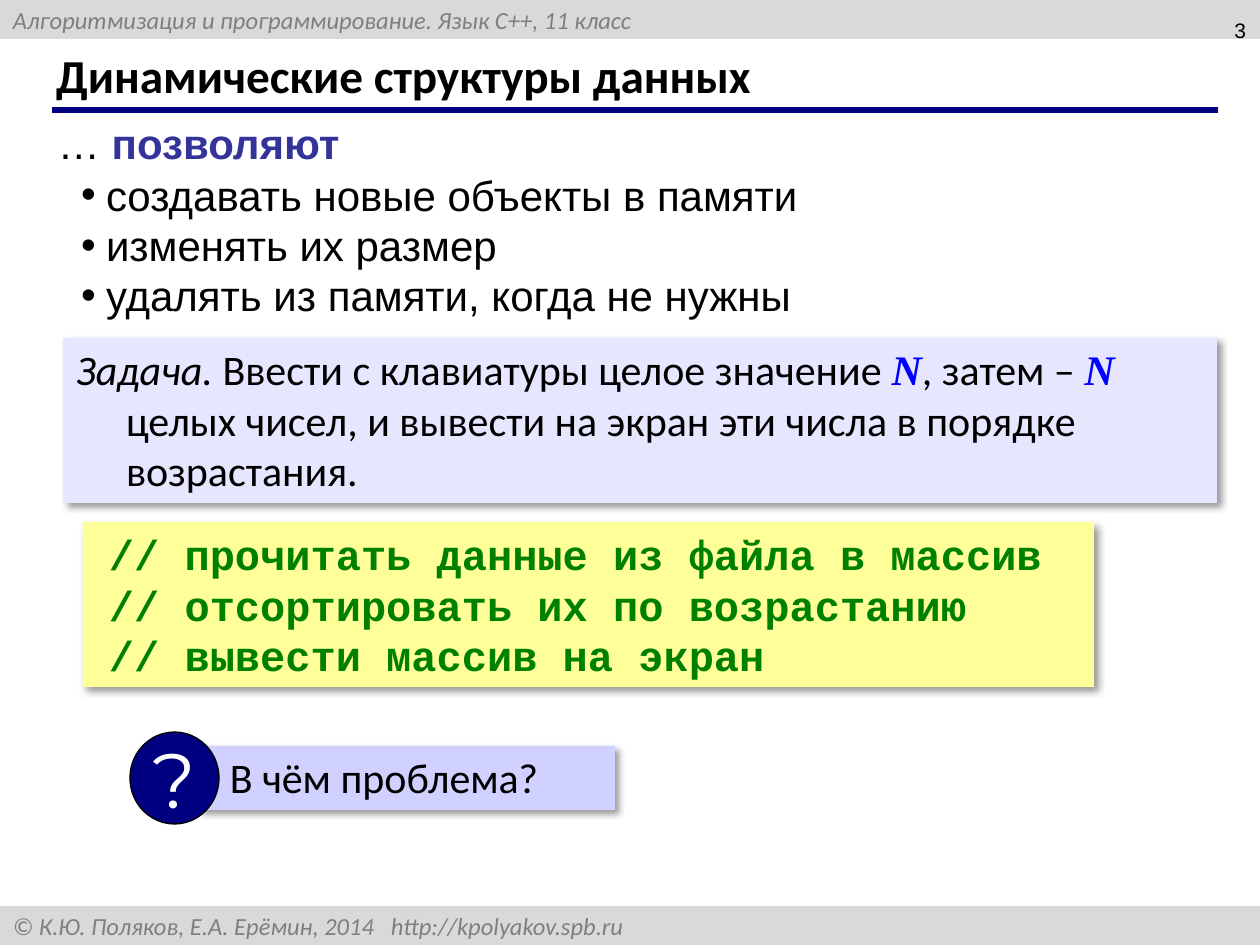
"""Build the slide on dynamic data structures."""
from dataclasses import dataclass

from lxml import etree
from pptx import Presentation
from pptx.dml.color import RGBColor
from pptx.enum.shapes import MSO_CONNECTOR, MSO_SHAPE
from pptx.enum.text import MSO_ANCHOR, MSO_AUTO_SIZE, PP_ALIGN
from pptx.oxml import parse_xml
from pptx.oxml.ns import nsdecls, qn
from pptx.util import Emu, Pt

LEFT, RIGHT, CENTER, JUSTIFY = PP_ALIGN.LEFT, PP_ALIGN.RIGHT, PP_ALIGN.CENTER, PP_ALIGN.JUSTIFY
TOP, MIDDLE = MSO_ANCHOR.TOP, MSO_ANCHOR.MIDDLE
RECTANGLE, OVAL = MSO_SHAPE.RECTANGLE, MSO_SHAPE.OVAL
STRAIGHT = MSO_CONNECTOR.STRAIGHT
NO_AUTOFIT = MSO_AUTO_SIZE.NONE

BLACK = RGBColor(0x00, 0x00, 0x00)
WHITE = RGBColor(0xFF, 0xFF, 0xFF)
NAVY = RGBColor(0x00, 0x00, 0x80)
INDIGO = RGBColor(0x33, 0x33, 0x99)
BLUE = RGBColor(0x00, 0x00, 0xFF)
GREEN = RGBColor(0x00, 0x80, 0x00)
GRAY = RGBColor(0x7F, 0x7F, 0x7F)
LIGHT_GRAY = RGBColor(0xD9, 0xD9, 0xD9)
PALE_BLUE = RGBColor(0xE6, 0xE6, 0xFF)
LAVENDER = RGBColor(0xD1, 0xD1, 0xFF)
YELLOW = RGBColor(0xFF, 0xFF, 0x99)

PIXEL = 914400 / 126
INSET = 13


def px(length: float) -> Emu:
    """Turn pixels into EMU."""
    return Emu(round(length * PIXEL))


@dataclass(frozen=True)
class Span:
    """A piece of text in one style."""
    text: str
    size: int = 24
    face: str = "Calibri"
    color: RGBColor = BLACK
    bold: bool = False
    italic: bool = False


@dataclass(frozen=True)
class Layout:
    """How the text sits in its box."""
    align: PP_ALIGN = LEFT
    anchor: MSO_ANCHOR = TOP
    margin: int = 0
    indent: int = 0
    inset: int = INSET
    wrap: bool = True
    bullet: str = ""
    tab: int = 0


@dataclass(frozen=True)
class Panel:
    """A filled shape with text."""
    bounds: tuple[int, int, int, int]
    fill: RGBColor
    lines: list[list[Span]]
    layout: Layout
    shadow: bool = False
    kind: MSO_SHAPE = RECTANGLE
    outline: RGBColor | None = None


def style(font, span: Span) -> None:
    """Apply the style of a span to a font."""
    font.name, font.size = span.face, Pt(span.size)
    font.bold, font.italic = span.bold, span.italic
    font.color.rgb = span.color


def write(box, lines: list[list[Span]], layout: Layout) -> None:
    """Fill a box with paragraphs."""
    frame = box.text_frame
    frame.auto_size = NO_AUTOFIT
    frame.word_wrap = layout.wrap
    frame.vertical_anchor = layout.anchor
    frame.margin_left, frame.margin_right = px(layout.inset), px(INSET)
    frame.margin_top = frame.margin_bottom = px(6)
    for index, spans in enumerate(lines):
        para = frame.add_paragraph() if index else frame.paragraphs[0]
        para.alignment = layout.align
        para.space_before = Pt(0)
        properties = para._p.get_or_add_pPr()
        properties.set("marL", str(px(layout.margin)))
        properties.set("indent", str(px(layout.indent)))
        if layout.bullet:
            etree.SubElement(properties, qn("a:buChar"), char=layout.bullet)
        if layout.tab:
            tabs = etree.SubElement(properties, qn("a:tabLst"))
            etree.SubElement(tabs, qn("a:tab"), pos=str(px(layout.tab)), algn="r")
        for span in spans:
            run = para.add_run()
            run.text = span.text
            if len(spans) > 1:
                style(run.font, span)
        if len(spans) == 1:
            style(para.font, spans[0])


def place(box, bounds: tuple[int, int, int, int]) -> None:
    """Move and size a placeholder."""
    box.left, box.top, box.width, box.height = map(px, bounds)


def add_text(page, bounds: tuple[int, int, int, int], lines: list[list[Span]], layout: Layout) -> None:
    """Add a text box."""
    write(page.shapes.add_textbox(*map(px, bounds)), lines, layout)


def add_panel(page, panel: Panel) -> None:
    """Add a filled shape with its text."""
    box = page.shapes.add_shape(panel.kind, *map(px, panel.bounds))
    box.shadow.inherit = False
    box.fill.solid()
    box.fill.fore_color.rgb = panel.fill
    if panel.outline is None:
        box.line.fill.background()
    else:
        box.line.color.rgb = panel.outline
        box.line.width = Pt(0.75)
    if panel.shadow:
        effects = box._element.spPr.find(qn("a:effectLst"))
        effects.append(parse_xml(
            f'<a:outerShdw {nsdecls("a")} blurRad="{Pt(4)}" dist="{Pt(3)}" dir="2700000" '
            'algn="tl" rotWithShape="0"><a:srgbClr val="000000"><a:alpha val="40000"/>'
            '</a:srgbClr></a:outerShdw>'))
    write(box, panel.lines, panel.layout)


def add_rule(page, left: int, right: int, top: int) -> None:
    """Add the line under the title."""
    rule = page.shapes.add_connector(STRAIGHT, px(left), px(top), px(right), px(top))
    rule.line.color.rgb = NAVY
    rule.line.width = Pt(3)
    etree.SubElement(rule._element.spPr, qn("a:effectLst"))


def small(text: str) -> list[list[Span]]:
    """Give the text of a header or footer band."""
    return [[Span(text, 14, color=GRAY, italic=True)]]


VARIABLE = Span("N", face="Times New Roman", color=BLUE, bold=True, italic=True)
TASK = [
    Span("Задача. ", italic=True),
    Span("Ввести с клавиатуры целое значение "),
    VARIABLE,
    Span(", затем – "),
    VARIABLE,
    Span(" целых чисел, и вывести на экран эти числа в порядке возрастания."),
]
ABILITIES = ["создавать новые объекты в памяти", "изменять их размер",
             "удалять из памяти, когда не нужны"]
STEPS = ["// прочитать данные из файла в массив", "// отсортировать их по возрастанию",
         "// вывести массив на экран"]
BAND = Layout(anchor=MIDDLE)
PANELS = [
    Panel((0, 0, 1260, 39), LIGHT_GRAY,
          small("Алгоритмизация и программирование. Язык C++, 11 класс"), BAND),
    Panel((0, 906, 1260, 39), LIGHT_GRAY,
          small("© К.Ю. Поляков, Е.А. Ерёмин, 2014\thttp://kpolyakov.spb.ru"),
          Layout(anchor=MIDDLE, tab=1211)),
    Panel((63, 338, 1154, 165), PALE_BLUE, [TASK], Layout(margin=50, indent=-50), True),
    Panel((83, 522, 1011, 165), YELLOW,
          [[Span(step, face="Courier New", color=GREEN, bold=True)] for step in STEPS],
          Layout(JUSTIFY, MIDDLE, indent=13), True),
    Panel((199, 746, 416, 64), LAVENDER, [[Span("В чём проблема?")]], Layout(inset=31), True),
    Panel((130, 732, 89, 92), NAVY, [[Span("?", 44, "Montserrat", WHITE)]],
          Layout(CENTER, MIDDLE, wrap=False), kind=OVAL, outline=BLACK),
]

deck = Presentation()
deck.slide_width, deck.slide_height = px(1260), px(945)
page = deck.slides.add_slide(deck.slide_layouts[1])
title, body = page.placeholders
place(title, (43, 42, 1154, 66))
write(title, [[Span("Динамические структуры данных", 27, bold=True)]], BAND)
place(body, (68, 163, 881, 165))
write(body, [[Span(ability, face="Arial")] for ability in ABILITIES],
      Layout(margin=25, indent=-25, bullet="•"))
for panel in PANELS:
    add_panel(page, panel)
add_rule(page, 52, 1218, 110)
add_text(page, (965, -3, 294, 66), [[Span("3", 12, "Arial")]], Layout(RIGHT, MIDDLE))
add_text(page, (45, 112, 310, 63),
         [[Span("… ", face="Arial"), Span("позволяют", face="Arial", color=INDIGO, bold=True)]],
         Layout(wrap=False))
deck.save("out.pptx")
